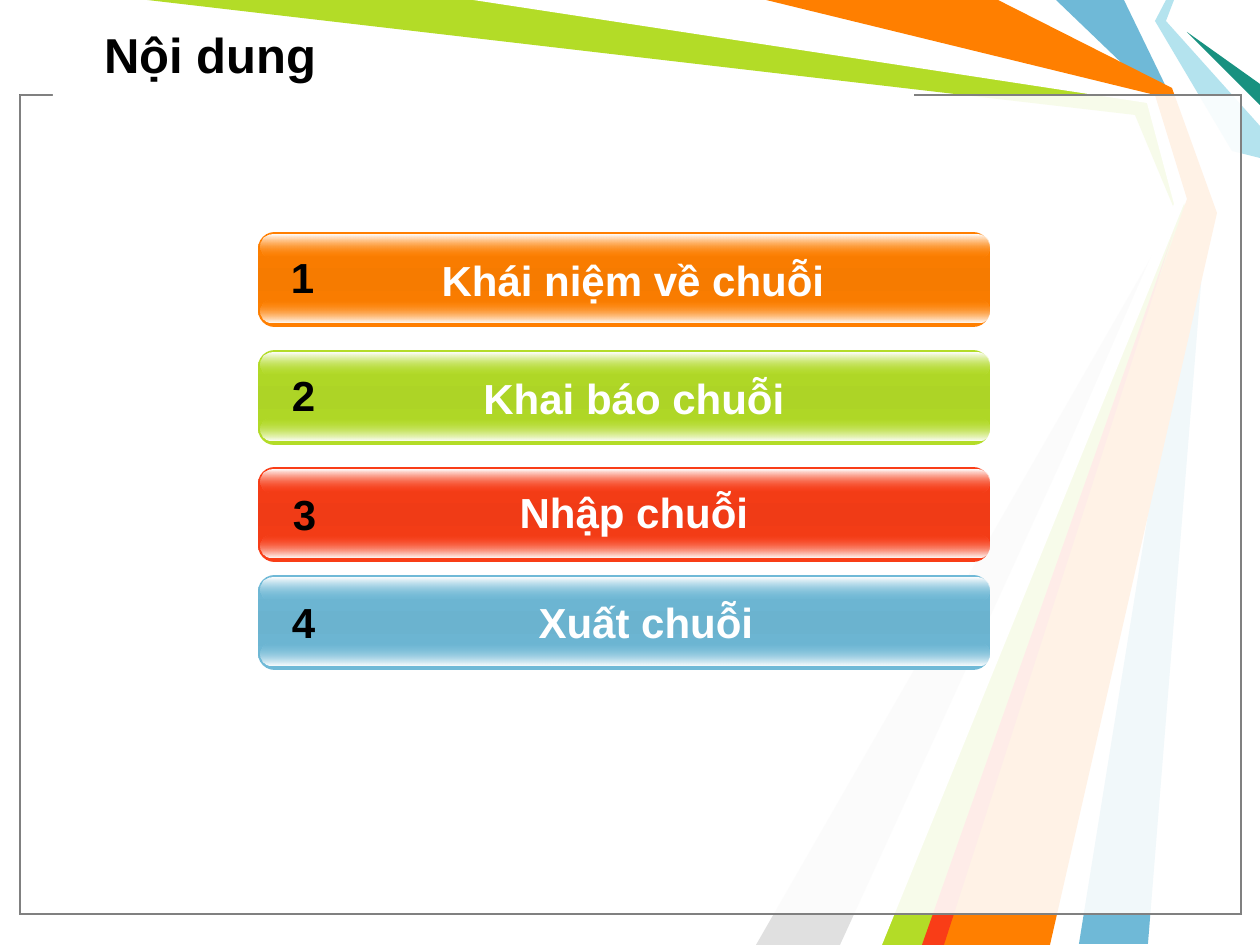
import pptx
import pptx.util
from lxml import etree
from pptx.dml.color import RGBColor
from pptx.enum.shapes import MSO_SHAPE
from pptx.enum.text import MSO_ANCHOR, PP_ALIGN
from pptx.oxml.ns import qn

SCALE = 914400 / 126  # EMU in one px
FONT = "Arial"

BLACK = RGBColor(0x00, 0x00, 0x00)
WHITE = RGBColor(0xFF, 0xFF, 0xFF)
GRAY = RGBColor(0x80, 0x80, 0x80)
SILVER = RGBColor(0xE0, 0xE0, 0xE0)
ORANGE = RGBColor(0xFF, 0x7F, 0x00)
DEEP_ORANGE = RGBColor(0xF6, 0x7B, 0x00)
GREEN = RGBColor(0xB3, 0xDC, 0x27)
DEEP_GREEN = RGBColor(0xAD, 0xD4, 0x26)
RED = RGBColor(0xF9, 0x3D, 0x17)
DEEP_RED = RGBColor(0xF0, 0x3B, 0x16)
BLUE = RGBColor(0x6F, 0xB9, 0xD7)
DEEP_BLUE = RGBColor(0x6B, 0xB3, 0xCF)
PALE_BLUE = RGBColor(0xB4, 0xE3, 0xEE)
TEAL = RGBColor(0x18, 0x91, 0x80)

TITLE = "Nội dung"

# Background ribbons, back to front: colour and corner points
RIBBONS = [
    (BLUE, [(1124, 0), (1171, 97), (1207, 210), (1148, 944), (1079, 944),
            (1197, 210), (1155, 95), (1056, 0)]),
    (GREEN, [(147, 0), (483, 0), (1152, 98), (1187, 213), (935, 945),
             (872, 945), (1178, 218), (1135, 115)]),
    (SILVER, [(840, 945), (1168, 228), (756, 945)]),
    (WHITE, [(473, 0), (1147, 103), (1174, 204), (851, 945), (882, 945),
             (1186, 199), (1155, 95), (756, 0)]),
    (PALE_BLUE, [(1166, 0), (1155, 21), (1232, 151), (1260, 158),
                 (1260, 126), (1166, 21), (1174, 0)]),
    (TEAL, [(1260, 105), (1187, 32), (1260, 84)]),
    (ORANGE, [(766, 0), (998, 0), (1172, 88), (1217, 213), (1050, 945),
              (924, 945), (1187, 199), (1155, 95)]),
    (RED, [(922, 945), (1174, 231), (944, 945)]),
]

# Agenda: label, colour, middle colour, bar top, label (left, top), number (left, top)
AGENDA = [
    ("Khái niệm về chuỗi", ORANGE, DEEP_ORANGE, 232, (323, 248), (276, 245)),
    ("Khai báo chuỗi", GREEN, DEEP_GREEN, 350, (324, 366), (277, 363)),
    ("Nhập chuỗi", RED, DEEP_RED, 467, (324, 480), (278, 482)),
    ("Xuất chuỗi", BLUE, DEEP_BLUE, 575, (336, 590), (277, 590)),
]


def px(*lengths):
    return [round(length * SCALE) for length in lengths]


def add_block(page, kind, left, top, width, height):
    block = page.shapes.add_shape(kind, *px(left, top, width, height))
    block.shadow.inherit = False
    block.line.fill.background()
    return block


def paint(shape, colour, alpha=None):
    shape.fill.solid()
    shape.fill.fore_color.rgb = colour
    if alpha is not None:
        node = shape.fill._xPr.find(".//" + qn("a:srgbClr"))
        etree.SubElement(node, qn("a:alpha"), val=str(alpha * 1000))


def paint_gradient(shape, stops):
    """Fill from top to bottom; each stop is (percent, colour, alpha)."""
    shape.fill.gradient()
    shape.fill.gradient_angle = 270
    stop_list = shape.fill._xPr.find(".//" + qn("a:gsLst"))
    for old in list(stop_list):
        stop_list.remove(old)
    for percent, colour, alpha in stops:
        stop = etree.SubElement(stop_list, qn("a:gs"), pos=str(percent * 1000))
        node = etree.SubElement(stop, qn("a:srgbClr"), val=str(colour))
        if alpha < 100:
            etree.SubElement(node, qn("a:alpha"), val=str(alpha * 1000))


def style(para, size, colour, align):
    para.alignment = align
    para.font.name = FONT
    para.font.size = pptx.util.Pt(size)
    para.font.bold = True
    para.font.color.rgb = colour


def add_label(page, text, left, top, width, colour):
    box = page.shapes.add_textbox(*px(left, top, width, 63))
    box.text_frame.word_wrap = True
    box.text_frame.text = text
    style(box.text_frame.paragraphs[0], 24, colour, PP_ALIGN.CENTER)


def add_bar(page, top, colour, middle):
    bar = add_block(page, MSO_SHAPE.ROUNDED_RECTANGLE, 258, top, 732, 95)
    bar.adjustments[0] = 0.175
    paint_gradient(bar, [(0, colour, 100), (50, middle, 100), (100, colour, 100)])
    # Glossy edges fade from white into the bar
    shines = [(68, [(0, colour, 0), (100, WHITE, 100)]),
              (3, [(0, WHITE, 100), (100, colour, 0)])]
    for offset, stops in shines:
        shine = add_block(page, MSO_SHAPE.ROUNDED_RECTANGLE, 261, top + offset, 729, 23)
        shine.adjustments[0] = 0.5
        paint_gradient(shine, stops)


def main():
    deck = pptx.Presentation()
    deck.slide_width, deck.slide_height = px(1260, 945)
    page = deck.slides.add_slide(deck.slide_layouts[5])

    # Ribbons
    for colour, points in RIBBONS:
        builder = page.shapes.build_freeform(*points[0], scale=SCALE)
        builder.add_line_segments(points[1:], close=True)
        ribbon = builder.convert_to_shape()
        ribbon.shadow.inherit = False
        ribbon.line.fill.background()
        paint(ribbon, colour)

    # Two translucent panels, with the frame opened behind the title
    for line_colour in (BLACK, GRAY):
        panel = add_block(page, MSO_SHAPE.RECTANGLE, 20, 95, 1221, 819)
        paint(panel, WHITE, alpha=69)
        panel.line.color.rgb = line_colour
        panel.line.width = pptx.util.Pt(0.75)
    paint(add_block(page, MSO_SHAPE.RECTANGLE, 53, 93, 861, 21), WHITE)

    # Title
    title = page.shapes.title
    title.left, title.top, title.width, title.height = px(92, 10, 1148, 87)
    title.text_frame.text = TITLE
    title.text_frame.vertical_anchor = MSO_ANCHOR.MIDDLE
    style(title.text_frame.paragraphs[0], 28, BLACK, PP_ALIGN.LEFT)

    # Agenda bars
    for number, (label, colour, middle, top, label_at, number_at) in enumerate(AGENDA, 1):
        add_bar(page, top, colour, middle)
        add_label(page, label, *label_at, 620, WHITE)
        add_label(page, str(number), *number_at, 53, BLACK)

    deck.save("out.pptx")


if __name__ == "__main__":
    main()
